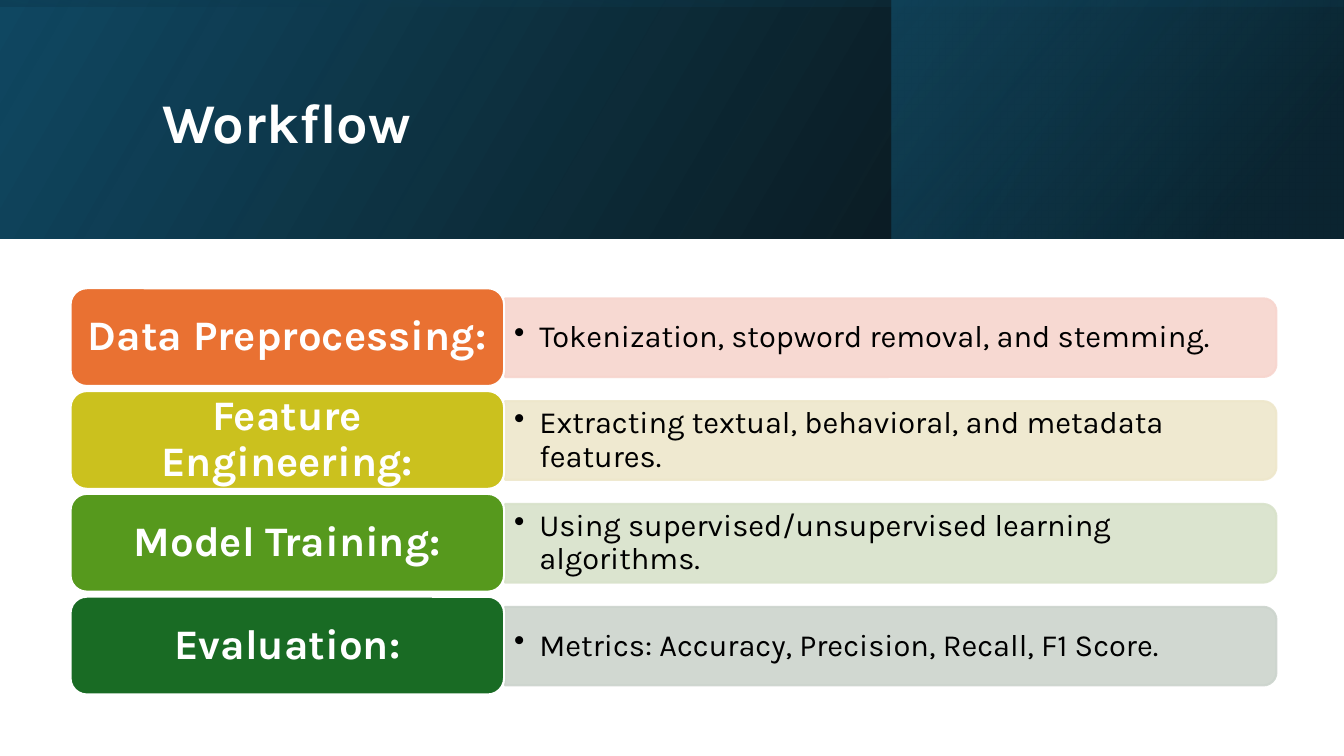
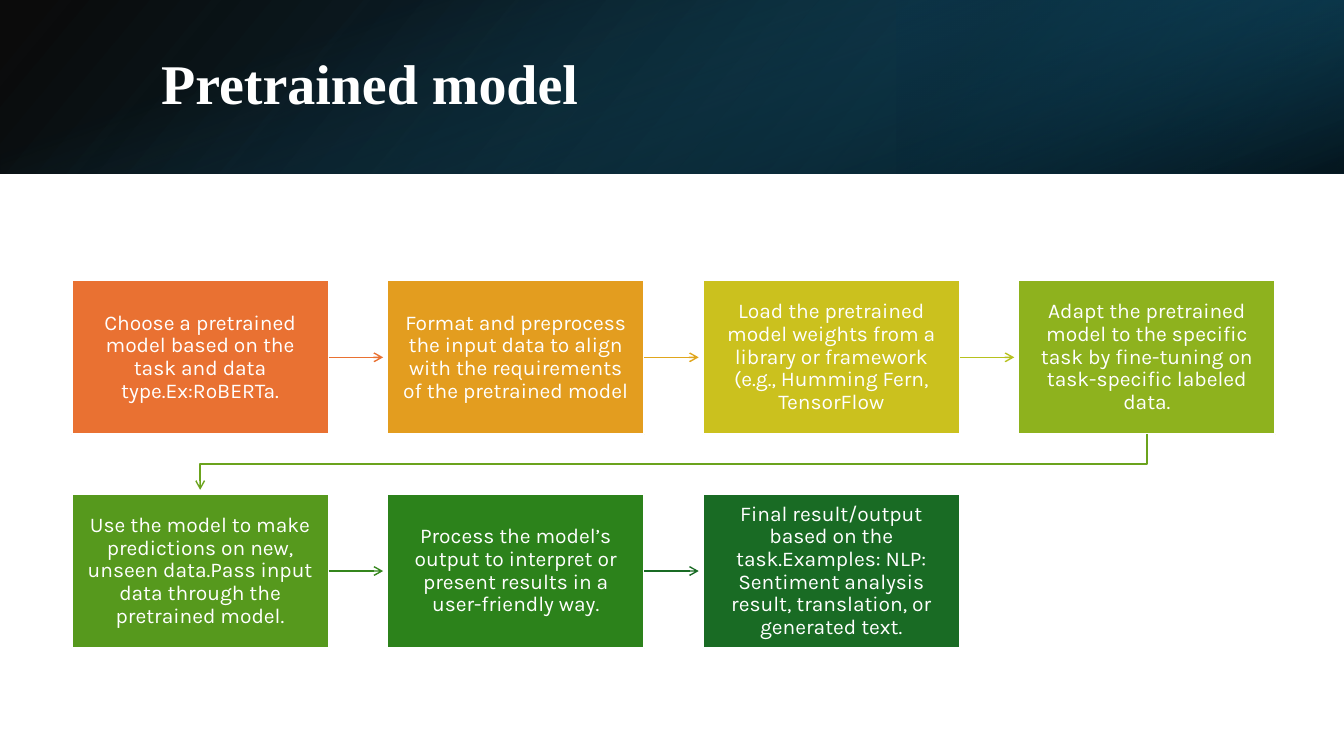
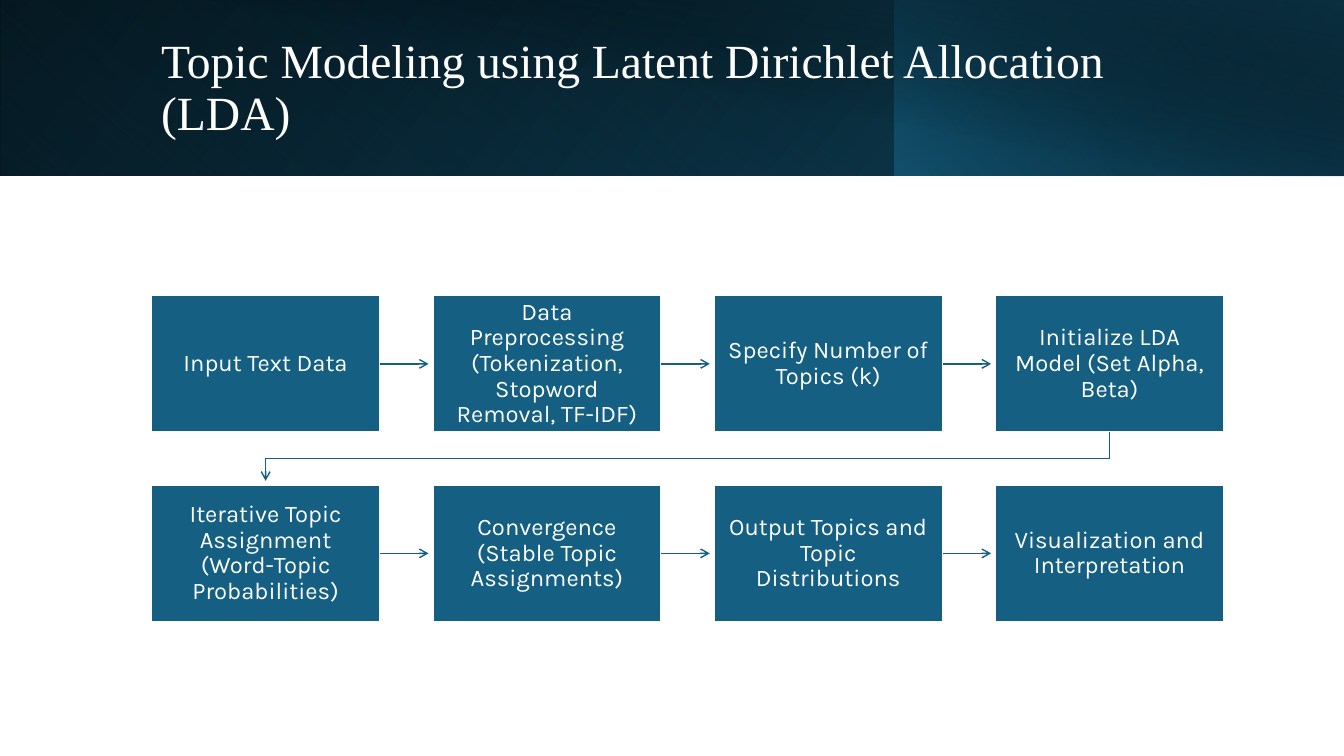
from dataclasses import dataclass
from typing import NamedTuple

from lxml.etree import SubElement
from pptx import Presentation
from pptx.dml.color import RGBColor
from pptx.enum.shapes import MSO_CONNECTOR, MSO_SHAPE as SHAPE
from pptx.enum.text import MSO_ANCHOR, PP_ALIGN
from pptx.oxml.ns import qn
from pptx.util import Inches, Pt


@dataclass(frozen=True)
class Theme:
    width: float = 13.33
    height: float = 7.5
    font: str = "Karla"
    serif: str = "Times New Roman"
    white: str = "FFFFFF"
    black: str = "000000"
    navy: str = "0B3041"
    deep: str = "104862"
    teal: str = "156082"
    orange: str = "E97132"
    amber: str = "E39D1F"
    olive: str = "CBC11E"
    lime: str = "8EB21E"
    leaf: str = "56991D"
    grass: str = "2C821B"
    forest: str = "196B24"
    title_size: int = 40
    long_title_size: int = 34
    label_size: int = 30
    detail_size: int = 22
    outline: float = 1.5
    arrow: float = 1
    line_spacing: float = 0.9


T = Theme()


class Box(NamedTuple):
    x: float
    y: float
    w: float
    h: float

    def emu(self) -> list[int]:
        return [Inches(v) for v in self]


class Stop(NamedTuple):
    position: int
    color: str
    alpha: int = 100


class Band(NamedTuple):
    """One gradient layer of a header; box is the area seen after rotation."""
    box: Box
    first: Stop
    last: Stop
    angle: int
    flip: bool = True
    rotation: int = 0


class Title(NamedTuple):
    text: str
    box: Box
    font: str
    size: int
    bold: bool = True


class Step(NamedTuple):
    label: str
    detail: str
    color: str
    tint: str


class Card(NamedTuple):
    text: str
    color: str
    arrow: str = ""


class Grid(NamedTuple):
    left: float
    top: float
    w: float
    h: float
    col_pitch: float
    row_pitch: float
    columns: int = 4

    def cell(self, i: int) -> Box:
        row, col = divmod(i, self.columns)
        return Box(self.left + col * self.col_pitch,
                   self.top + row * self.row_pitch, self.w, self.h)


def rgb(color: str) -> RGBColor:
    return RGBColor.from_string(color)


def set_alpha(s, *percents: int) -> None:
    """Give the shape's colours, in document order, their opacity."""
    for clr, percent in zip(s.element.spPr.iter(qn("a:srgbClr")), percents):
        if percent < 100:
            SubElement(clr, qn("a:alpha")).set("val", str(percent * 1000))


def write(s, text: str, size: float, color: str = T.white, font: str = T.font,
          bold: bool = False, align=PP_ALIGN.CENTER, inset=(0.1, 0.05)):
    tf = s.text_frame
    tf.word_wrap = True
    tf.vertical_anchor = MSO_ANCHOR.MIDDLE
    tf.margin_left = tf.margin_right = Inches(inset[0])
    tf.margin_top = tf.margin_bottom = Inches(inset[1])
    p = tf.paragraphs[0]
    p.alignment = align
    p.line_spacing = T.line_spacing
    r = p.add_run()
    r.text = text
    r.font.name, r.font.size, r.font.bold = font, Pt(size), bold
    r.font.color.rgb = rgb(color)
    return p


def add_bullet(p, indent: float) -> None:
    pPr = p._p.get_or_add_pPr()
    pPr.set("marL", str(Inches(indent)))
    pPr.set("indent", str(-Inches(indent)))
    SubElement(pPr, qn("a:buChar")).set("char", "•")


def add_block(slide, kind, box: Box, fill: str, line: str = T.white):
    s = slide.shapes.add_shape(kind, *box.emu())
    s.shadow.inherit = False
    s.fill.solid()
    s.fill.fore_color.rgb = rgb(fill)
    s.line.color.rgb = rgb(line)
    s.line.width = Pt(T.outline)
    return s


def turned(box: Box) -> Box:
    """Frame that covers box once it is rotated by a quarter turn."""
    return Box(box.x + (box.w - box.h) / 2, box.y + (box.h - box.w) / 2,
               box.h, box.w)


def add_band(slide, band: Band) -> None:
    frame = turned(band.box) if band.rotation % 180 else band.box
    s = slide.shapes.add_shape(SHAPE.RECTANGLE, *frame.emu())
    s.shadow.inherit = False
    s.line.fill.background()
    s.rotation = band.rotation
    if band.flip:
        s.element.spPr.find(qn("a:xfrm")).set("flipH", "1")
    s.fill.gradient()
    s.fill.gradient_angle = 360 - band.angle
    stops = (band.first, band.last)
    for target, stop in zip(s.fill.gradient_stops, stops):
        target.color.rgb = rgb(stop.color)
        target.position = stop.position / 100
    set_alpha(s, *(stop.alpha for stop in stops))


def add_slide(prs, title: Title, bands: list[Band]):
    slide = prs.slides.add_slide(prs.slide_layouts[6])
    for band in bands:
        add_band(slide, band)
    s = slide.shapes.add_textbox(*title.box.emu())
    write(s, title.text, title.size, font=title.font, bold=title.bold,
          align=PP_ALIGN.LEFT)
    return slide


def add_step(slide, step: Step, y: float) -> None:
    label = Box(0.7, y, 4.3, 0.97)
    detail = Box(5.01, y + 0.1, 7.65, 0.78)
    s = add_block(slide, SHAPE.ROUND_2_SAME_RECTANGLE, turned(detail),
                  step.tint, step.tint)
    s.rotation = 90
    set_alpha(s, 90, 90)
    s = slide.shapes.add_textbox(
        *detail._replace(y=y + 0.14, w=7.61, h=0.7).emu())
    p = write(s, step.detail, T.detail_size, T.black, align=PP_ALIGN.LEFT,
              inset=(0.09, 0.05))
    add_bullet(p, 0.25)
    s = add_block(slide, SHAPE.ROUNDED_RECTANGLE, label, step.color)
    write(s, step.label, T.label_size, bold=True, inset=(0.12, 0.06))


def style_arrow(s, color: str) -> None:
    s.line.color.rgb = rgb(color)
    s.line.width = Pt(T.arrow)
    SubElement(s.line._get_or_add_ln(), qn("a:tailEnd")).set("type", "arrow")


def add_straight_arrow(slide, start, box: Box, end_x: float, color: str) -> None:
    y = Inches(box.y + box.h / 2)
    s = slide.shapes.add_connector(MSO_CONNECTOR.STRAIGHT,
                                   Inches(box.x + box.w), y, Inches(end_x), y)
    s.begin_connect(start, 3)
    style_arrow(s, color)
    SubElement(s._element.spPr, qn("a:effectLst"))


def add_return_arrow(slide, box: Box, target: Box, end_y: float,
                     color: str) -> None:
    """Lead from the end of one row down to the start of the next."""
    x1, x2 = box.x + box.w / 2, target.x + target.w / 2
    y1 = box.y + box.h
    middle = (y1 + target.y) / 2
    points = [(Inches(x), Inches(y))
              for x, y in ((x1, middle), (x2, middle), (x2, end_y))]
    path = slide.shapes.build_freeform(Inches(x1), Inches(y1))
    path.add_line_segments(points, close=False)
    s = path.convert_to_shape()
    s.shadow.inherit = False
    s.fill.background()
    style_arrow(s, color)


def add_flow(slide, grid: Grid, cards: list[Card], size: float, inset) -> None:
    gap = 0.04
    for i, card in enumerate(cards):
        box, following = grid.cell(i), grid.cell(i + 1)
        s = add_block(slide, SHAPE.RECTANGLE, box, card.color)
        write(s, card.text, size, inset=inset)
        if not card.arrow:
            continue
        if following.y == box.y:
            add_straight_arrow(slide, s, box, following.x - gap, card.arrow)
        else:
            add_return_arrow(slide, box, following, following.y - gap,
                             card.arrow)


def workflow(prs) -> None:
    h = 2.37
    full = Box(0, 0, T.width, h)
    slide = add_slide(
        prs, Title("Workflow", Box(1.51, 0.38, 10.63, 1.72), T.font,
                   T.title_size),
        [Band(full, Stop(0, T.black, 96), Stop(100, T.deep), 330),
         Band(Box(8.84, 0, 4.48, h), Stop(19, T.navy, 68),
              Stop(100, T.teal, 48), 320),
         Band(full, Stop(23, T.deep, 16), Stop(99, T.black, 45), 350,
              rotation=270)])
    steps = [
        Step("Data Preprocessing:",
             "Tokenization, stopword removal, and stemming.",
             T.orange, "F7D5CE"),
        Step("Feature Engineering:",
             "Extracting textual, behavioral, and metadata features.",
             T.olive, "EEE7CB"),
        Step("Model Training:",
             "Using supervised/unsupervised learning algorithms.",
             T.leaf, "D8E2CA"),
        Step("Evaluation:", "Metrics: Accuracy, Precision, Recall, F1 Score.",
             T.forest, "CCD4CD"),
    ]
    for i, step in enumerate(steps):
        add_step(slide, step, 2.86 + 1.02 * i)


def pretrained_model(prs) -> None:
    h = 1.72
    full = Box(0, 0, T.width, h)
    slide = add_slide(
        prs, Title("Pretrained model", Box(1.5, 0.38, 10.98, 0.96), T.serif,
                   T.title_size),
        [Band(full, Stop(0, T.black, 96), Stop(100, T.deep), 140),
         Band(Box(8.89, 0, 4.44, h), Stop(19, T.navy, 68),
              Stop(100, T.teal, 79), 320, rotation=180),
         Band(full, Stop(23, T.teal, 0), Stop(99, T.black, 74), 340,
              flip=False, rotation=90)])
    cards = [
        Card("Choose a pretrained model based on the task and data "
             "type.Ex:RoBERTa.", T.orange, T.orange),
        Card("Format and preprocess the input data to align with the "
             "requirements of the pretrained model", T.amber, "E0A61D"),
        Card("Load the pretrained model weights from a library or framework "
             "(e.g., Humming Fern, TensorFlow", T.olive, "B7C11E"),
        Card("Adapt the pretrained model to the specific task by fine-tuning "
             "on task-specific labeled data.", T.lime, "6BA31D"),
        Card("Use the model to make predictions on new, unseen data.Pass "
             "input data through the pretrained model.", T.leaf, "34861C"),
        Card("Process the model’s output to interpret or present results in "
             "a user-friendly way.", T.grass, T.forest),
        Card("Final result/output based on the task.Examples: NLP: Sentiment "
             "analysis result, translation, or generated text.", T.forest),
    ]
    add_flow(slide, Grid(0.71, 2.78, 2.55, 1.53, 3.13, 2.12), cards, 15,
             (0.12, 0.13))


def topic_modeling(prs) -> None:
    h = 1.74
    slide = add_slide(
        prs, Title("Topic Modeling using Latent Dirichlet Allocation (LDA)",
                   Box(1.5, 0.32, 10.82, 1.13), T.serif, T.long_title_size,
                   bold=False),
        [Band(Box(0, 0, T.width, h), Stop(0, T.black), Stop(100, T.deep), 140),
         Band(Box(0, 0, 8.88, h), Stop(20, T.teal, 0), Stop(100, T.navy, 55),
              230, rotation=180),
         Band(Box(8.87, 0, 4.46, h), Stop(0, T.teal, 66),
              Stop(100, T.black, 30), 220),
         Band(Box(0.5, 0, 12.83, 1.75), Stop(50, T.black, 0),
              Stop(99, T.navy, 52), 280, flip=False)])
    texts = [
        "Input Text Data",
        "Data Preprocessing (Tokenization, Stopword Removal, TF-IDF)",
        "Specify Number of Topics (k)",
        "Initialize LDA Model (Set Alpha, Beta)",
        "Iterative Topic Assignment (Word-Topic Probabilities)",
        "Convergence (Stable Topic Assignments)",
        "Output Topics and Topic Distributions",
        "Visualization and Interpretation",
    ]
    cards = [Card(text, T.teal, T.teal) for text in texts[:-1]]
    cards.append(Card(texts[-1], T.teal))
    add_flow(slide, Grid(1.5, 2.93, 2.27, 1.36, 2.79, 1.88), cards, 17,
             (0.11, 0.12))


def main() -> None:
    prs = Presentation()
    prs.slide_width, prs.slide_height = Inches(T.width), Inches(T.height)
    workflow(prs)
    pretrained_model(prs)
    topic_modeling(prs)
    prs.save("out.pptx")


if __name__ == "__main__":
    main()
